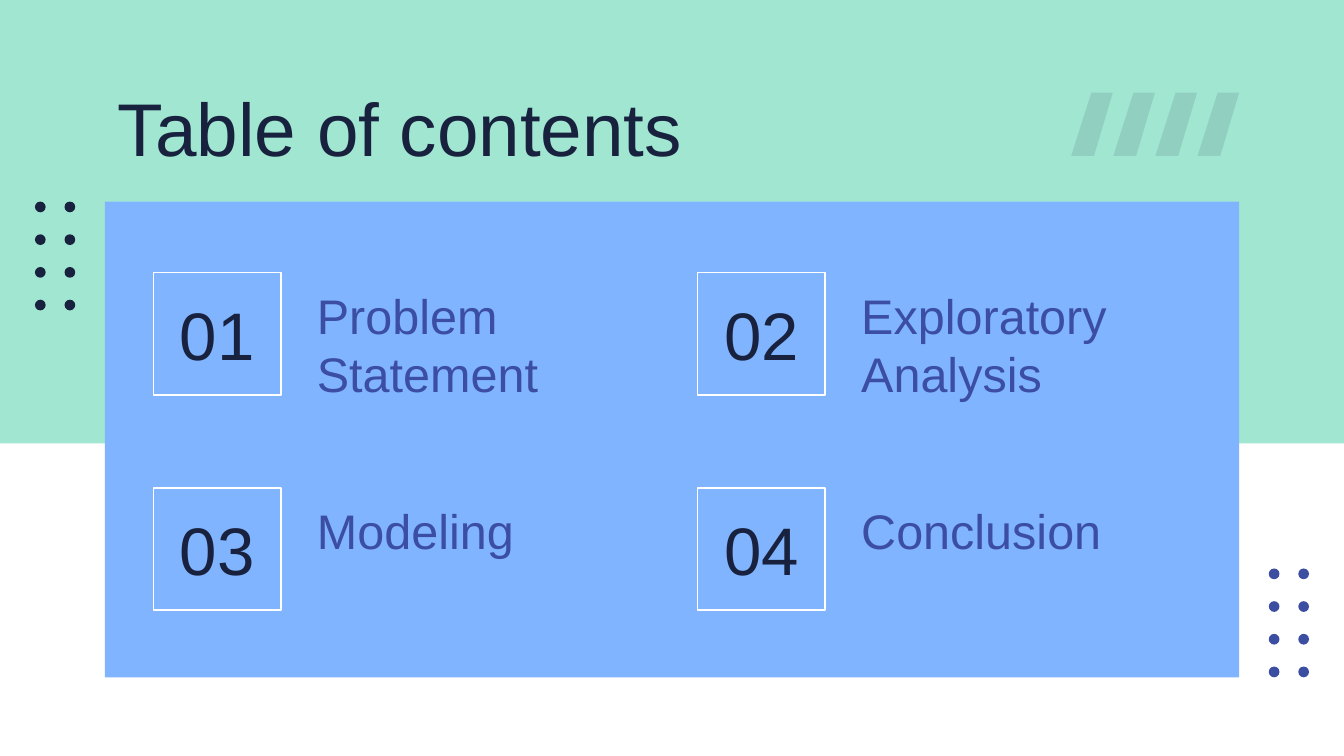
from lxml import etree
from pptx import Presentation
from pptx.dml.color import RGBColor
from pptx.enum import shapes, text
from pptx.oxml.ns import qn
from pptx.util import Inches, Pt

THEME = {
    "font": "Arial",
    "mint": "A1E6D1", "white": "FFFFFF", "blue": "80B4FF",
    "navy": "18223F", "indigo": "3C4EA2",
    "title": 40, "number": 36, "topic": 26,
}
TITLE = "Table of contents"
TOPICS = ["Problem Statement", "Exploratory Analysis", "Modeling", "Conclusion"]
DOTS = [(0.26, 1.5, "navy"), (9.44, 4.23, "indigo")]  # left, top, colour
KIND = shapes.MSO_SHAPE
WIDE = 10
HIGH = WIDE * 9 / 16


def color(name):
    return RGBColor.from_string(THEME[name])


def paint(shape, fill=None, line=None):
    shape.shadow.inherit = False
    if fill:
        shape.fill.solid()
        shape.fill.fore_color.rgb = color(fill)
    else:
        shape.fill.background()
    if line:
        shape.line.color.rgb = color(line)
        shape.line.width = Pt(0.75)
    else:
        shape.line.fill.background()
    return shape


def add_block(slide, kind, box, fill=None, line=None):
    return paint(slide.shapes.add_shape(kind, *map(Inches, box)), fill, line)


def write(shape, words, role, tint, anchor="TOP", align="LEFT"):
    frame = shape.text_frame
    form = {"word_wrap": True, "vertical_anchor": getattr(text.MSO_ANCHOR, anchor)}
    form.update({f"margin_{side}": Inches(0.1)
                 for side in ("left", "top", "right", "bottom")})
    for key, value in form.items():
        setattr(frame, key, value)
    para = frame.paragraphs[0]
    para.alignment = getattr(text.PP_ALIGN, align)
    run = para.add_run()
    run.text = words
    for key, value in {"name": THEME["font"], "size": Pt(THEME[role])}.items():
        setattr(run.font, key, value)
    run.font.color.rgb = color(tint)


def add_label(slide, box, *style):
    write(slide.shapes.add_textbox(*map(Inches, box)), *style)


def add_dots(slide, left, top, tint):
    for row in range(4):
        for col in range(2):
            box = (left + col * 0.22, top + row * 0.73 / 3, 0.08, 0.08)
            add_block(slide, KIND.OVAL, box, tint)


def add_slash(slide, left):
    """Draw one slanted bar in faint navy."""
    top, low = 0.69, 1.16
    spots = [(left + 0.15, top), (left, low), (left + 0.17, low), (left + 0.31, top)]
    points = [(Inches(x), Inches(y)) for x, y in spots]
    pen = slide.shapes.build_freeform(*points[0])
    pen.add_line_segments(points[1:], close=True)
    bar = paint(pen.convert_to_shape(), "navy")
    tone = bar.element.spPr.find(".//" + qn("a:srgbClr"))
    etree.SubElement(tone, qn("a:alpha"), val="11000")


def add_topic(slide, index, topic):
    row, col = divmod(index, 2)
    left, top = 1.14 + col * 4.05, 2.03 + row * 1.6
    tile = add_block(slide, KIND.RECTANGLE, (left, top, 0.95, 0.91), line="white")
    write(tile, f"{index + 1:02}", "number", "navy", "MIDDLE", "CENTER")
    add_label(slide, (left + 1.12, top, 2.77, 0.91), topic, "topic", "indigo")


def main():
    deck = Presentation()
    deck.slide_width, deck.slide_height = Inches(WIDE), Inches(HIGH)
    slide = deck.slides.add_slide(deck.slide_layouts[6])
    back = slide.background.fill
    back.solid()
    back.fore_color.rgb = color("mint")
    add_block(slide, KIND.RECTANGLE, (0, 3.3, WIDE, HIGH - 3.3), "white")
    add_block(slide, KIND.RECTANGLE, (0.78, 1.5, 8.44, 3.54), "blue")
    for spot in DOTS:
        add_dots(slide, *spot)
    add_label(slide, (0.78, 0.51, 8.44, 0.67), TITLE, "title", "navy")
    for index, topic in enumerate(TOPICS):
        add_topic(slide, index, topic)
    for index in range(4):
        add_slash(slide, 7.97 + index * 0.94 / 3)
    deck.save("out.pptx")


if __name__ == "__main__":
    main()
